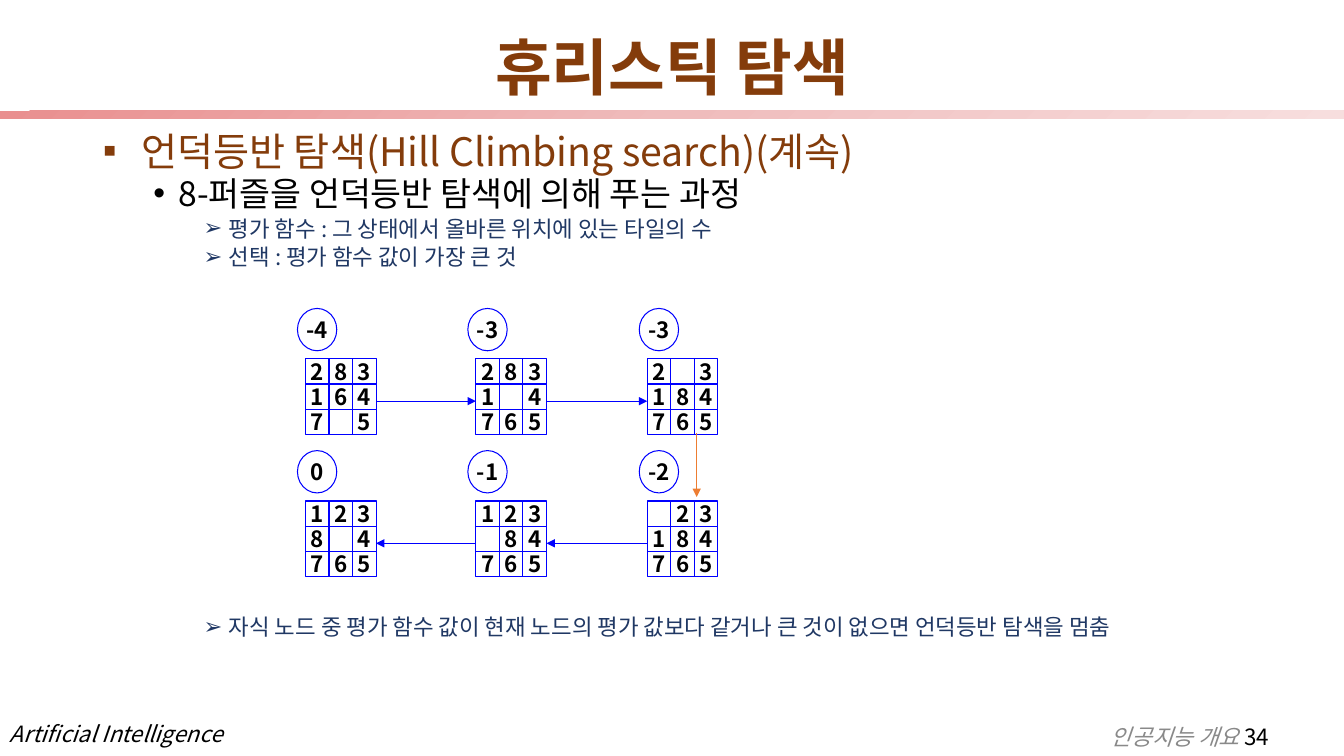
from copy import deepcopy

from lxml import etree
from pptx import Presentation
from pptx import util as u
from pptx.dml.color import RGBColor
from pptx.enum import shapes, text
from pptx.oxml import ns

FONT = "Noto Sans CJK KR"
BLUE = "0000FF"
BROWN = "843C0B"
NAVY = "203864"


def color(value):
    return RGBColor.from_string(value)


def add_run(paragraph, wording, hex_color, size=16, name=FONT, **styles):
    run = paragraph.add_run()
    run.text = wording
    formats = {"size": u.Pt(size), "name": name, **styles}
    for attribute, value in formats.items():
        setattr(run.font, attribute, value)
    run.font.color.rgb = color(hex_color)
    etree.SubElement(run.font._element, ns.qn("a:ea"), typeface=FONT)


presentation = Presentation()
presentation.slide_width = u.Inches(13.33)
presentation.slide_height = u.Inches(7.5)
slide = presentation.slides.add_slide(presentation.slide_layouts[1])
title, body = slide.placeholders

for placeholder, top, height in ((title, 0.4, 0.6), (body, 1.3, 5.84)):
    place = {"left": 0.92, "top": top, "width": 11.5, "height": height}
    for attribute, value in place.items():
        setattr(placeholder, attribute, u.Inches(value))
    placeholder.text_frame.auto_size = text.MSO_AUTO_SIZE.NONE

title.text_frame.vertical_anchor = text.MSO_ANCHOR.MIDDLE
heading = title.text_frame.paragraphs[0]
heading.alignment = text.PP_ALIGN.CENTER
heading.line_spacing = 0.9
add_run(heading, "휴리스틱 탐색", BROWN, 44, "Arial", bold=True)

levels = [
    {"bullet": "▪", "margin": 0.38, "indent": -0.38, "size": 28, "color": BROWN},
    {"bullet": "•", "margin": 0.75, "indent": -0.25, "size": 24, "color": "000000"},
    {"bullet": "➢", "margin": 1.25, "indent": -0.25, "size": 16, "color": NAVY},
]
outline = [
    (0, 0, "언덕등반 탐색(Hill Climbing search)(계속)"),
    (1, 5, "8-퍼즐을 언덕등반 탐색에 의해 푸는 과정"),
    (2, 5, "평가 함수 : 그 상태에서 올바른 위치에 있는 타일의 수"),
    (2, 5, "선택 : 평가 함수 값이 가장 큰 것"),
    (2, 249, "자식 노드 중 평가 함수 값이 현재 노드의 평가 값보다 같거나 큰 것이 없으면 언덕등반 탐색을 멈춤"),
]
for index, (level, space, wording) in enumerate(outline):
    frame = body.text_frame
    paragraph = frame.add_paragraph() if index else frame.paragraphs[0]
    style = levels[level]
    formats = {"level": level, "line_spacing": 0.8, "space_before": u.Pt(space)}
    for attribute, value in formats.items():
        setattr(paragraph, attribute, value)
    add_run(paragraph, wording, style["color"], style["size"])
    properties = paragraph._p.get_or_add_pPr()
    properties.set("marL", str(u.Inches(style["margin"])))
    properties.set("indent", str(u.Inches(style["indent"])))
    etree.SubElement(properties, ns.qn("a:buFont"), typeface="Arial")
    etree.SubElement(properties, ns.qn("a:buChar"), char=style["bullet"])

band = slide.shapes.add_shape(
    shapes.MSO_SHAPE.RECTANGLE, 0, u.Inches(1.1), presentation.slide_width, u.Inches(0.08)
)
band.shadow.inherit = False
band.line.fill.background()
band.fill.gradient()
band.fill.gradient_angle = 315
stop_list = band._element.spPr.find(".//" + ns.qn("a:gsLst"))
stop_list.insert(1, deepcopy(stop_list[0]))
stops = ((0, "E98F8F"), (0.5, "EFBCBC"), (1, "F7DEDE"))
for stop, (position, shade) in zip(band.fill.gradient_stops, stops):
    stop.position = position
    stop.color.rgb = color(shade)

footers = [
    (0, 7.13, 2.32, [("Artificial Intelligence", "000000", FONT, True)]),
    (10.92, 7.16, 2.12, [("인공지능 개요 ", "898989", "Arial", True), ("34", "000000", FONT, False)]),
]
for left, top, width, runs in footers:
    footer = slide.shapes.add_textbox(u.Inches(left), u.Inches(top), u.Inches(width), u.Inches(0.34))
    footer.text_frame.word_wrap = True
    paragraph = footer.text_frame.paragraphs[0]
    paragraph.line_spacing = 0.9
    for wording, shade, name, italic in runs:
        add_run(paragraph, wording, shade, name=name, italic=italic)

columns = (3.03, 4.72, 6.42)
rows = (3.56, 4.97)
board_width = 0.7
tile_width = board_width / 3
tile_height = 0.25
states = [
    (0, 0, "-4", "2831647 5"),
    (1, 0, "-3", "2831 4765"),
    (2, 0, "-3", "2 3184765"),
    (2, 1, "-2", " 23184765"),
    (1, 1, "-1", "123 84765"),
    (0, 1, "0", "1238 4765"),
]
for column, row, score, tiles in states:
    left, top = columns[column], rows[row]
    cells = [(shapes.MSO_SHAPE.OVAL, left - 0.08, top - 0.5, 0.39, 0.42, score)]
    for index, digit in enumerate(tiles):
        y, x = divmod(index, 3)
        cells.append((
            shapes.MSO_SHAPE.RECTANGLE, left + x * tile_width, top + y * tile_height,
            tile_width, tile_height, digit.strip(),
        ))
    board = slide.shapes.add_group_shape()
    for kind, x, y, width, height, label in cells:
        cell = board.shapes.add_shape(kind, *map(u.Inches, (x, y, width, height)))
        cell.shadow.inherit = False
        cell.fill.background()
        cell.line.color.rgb = color(BLUE)
        cell.line.width = u.Pt(0.75)
        if label:
            formats = {
                "margin_left": 0, "margin_right": 0, "margin_top": 0, "margin_bottom": 0,
                "word_wrap": False, "vertical_anchor": text.MSO_ANCHOR.MIDDLE,
            }
            for attribute, value in formats.items():
                setattr(cell.text_frame, attribute, value)
            paragraph = cell.text_frame.paragraphs[0]
            paragraph.alignment = text.PP_ALIGN.CENTER
            add_run(paragraph, label, "000000", bold=True)

arrows = [(6.91, 4.3, 6.91, 4.93, "ED7D31", 1)]
for start, end in zip(columns, columns[1:]):
    upper, lower = (top + 0.42 for top in rows)
    arrows.append((start + board_width, upper, end, upper, BLUE, 0.75))
    arrows.append((end, lower, start + board_width, lower, BLUE, 0.75))
for *points, shade, weight in arrows:
    arrow = slide.shapes.add_connector(shapes.MSO_CONNECTOR.STRAIGHT, *map(u.Inches, points))
    arrow.line.color.rgb = color(shade)
    arrow.line.width = u.Pt(weight)
    etree.SubElement(arrow.line._get_or_add_ln(), ns.qn("a:tailEnd"), type="triangle")
    etree.SubElement(arrow._element.spPr, ns.qn("a:effectLst"))

presentation.save("out.pptx")
